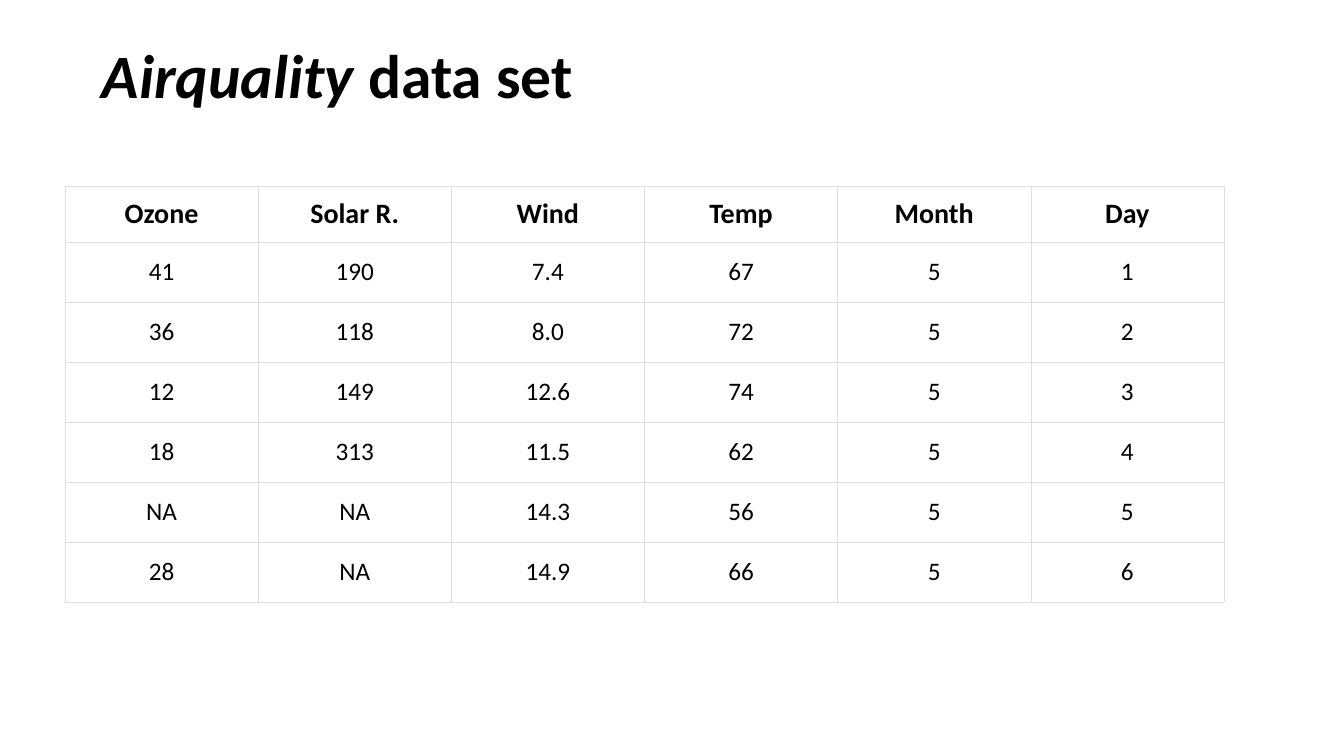
from lxml import etree
from pptx import Presentation
from pptx.dml.color import RGBColor
from pptx.enum.text import MSO_ANCHOR, PP_ALIGN
from pptx.oxml.ns import qn
from pptx.util import Emu, Pt

MIDDLE, TOP = MSO_ANCHOR.MIDDLE, MSO_ANCHOR.TOP
CENTER = PP_ALIGN.CENTER
BLACK = RGBColor(0x00, 0x00, 0x00)
WHITE = RGBColor(0xFF, 0xFF, 0xFF)
GRID_GRAY = RGBColor(0xDF, 0xDF, 0xDF)
GRID_WIDTH = Pt(0.25)
FONT = "Calibri"

HEADER_HEIGHT, ROW_HEIGHT = 56, 60
MEASUREMENTS = [
    ["Ozone", "Solar R.", "Wind", "Temp", "Month", "Day"],
    ["41", "190", "7.4", "67", "5", "1"],
    ["36", "118", "8.0", "72", "5", "2"],
    ["12", "149", "12.6", "74", "5", "3"],
    ["18", "313", "11.5", "62", "5", "4"],
    ["NA", "NA", "14.3", "56", "5", "5"],
    ["28", "NA", "14.9", "66", "5", "6"],
]


def px(length):
    """Turn pixels (100.8 to the inch) into EMU."""
    return Emu(round(length * 914400 / 100.8))


def style_font(font, size, bold):
    font.name = FONT
    font.size = Pt(size)
    font.bold = bold
    font.color.rgb = BLACK


prs = Presentation()
prs.slide_width, prs.slide_height = px(1344), px(756)
slide = prs.slides.add_slide(prs.slide_layouts[6])

# Title
title = slide.shapes.add_textbox(px(92), px(40), px(1159), px(146)).text_frame
title.word_wrap = True
title.vertical_anchor = TOP
title.margin_top = px(5)
heading = title.paragraphs[0]
heading.line_spacing = 0.9
for words, italic in [("Airquality", True), (" data set", False)]:
    run = heading.add_run()
    run.text = words
    style_font(run.font, 44, True)
    run.font.italic = italic

# Table of measurements
row_count, column_count = len(MEASUREMENTS), len(MEASUREMENTS[0])
table_height = HEADER_HEIGHT + (row_count - 1) * ROW_HEIGHT
table = slide.shapes.add_table(
    row_count, column_count, px(65), px(186), px(1159), px(table_height)
).table

for r, values in enumerate(MEASUREMENTS):
    is_header = r == 0
    table.rows[r].height = px(HEADER_HEIGHT if is_header else ROW_HEIGHT)
    for c, value in enumerate(values):
        cell = table.cell(r, c)
        cell.vertical_anchor = MIDDLE
        cell.margin_left = cell.margin_right = px(10)
        cell.margin_top = cell.margin_bottom = px(10 if is_header else 14)
        cell_properties = cell._tc.get_or_add_tcPr()
        for side in ("a:lnL", "a:lnR", "a:lnT", "a:lnB"):
            border = etree.SubElement(cell_properties, qn(side), w=str(GRID_WIDTH))
            border_fill = etree.SubElement(border, qn("a:solidFill"))
            etree.SubElement(border_fill, qn("a:srgbClr"), val=str(GRID_GRAY))
        cell.fill.solid()
        cell.fill.fore_color.rgb = WHITE
        cell.text_frame.text = value
        paragraph = cell.text_frame.paragraphs[0]
        paragraph.alignment = CENTER
        style_font(paragraph.runs[0].font, 20 if is_header else 18, is_header)

prs.save("out.pptx")
